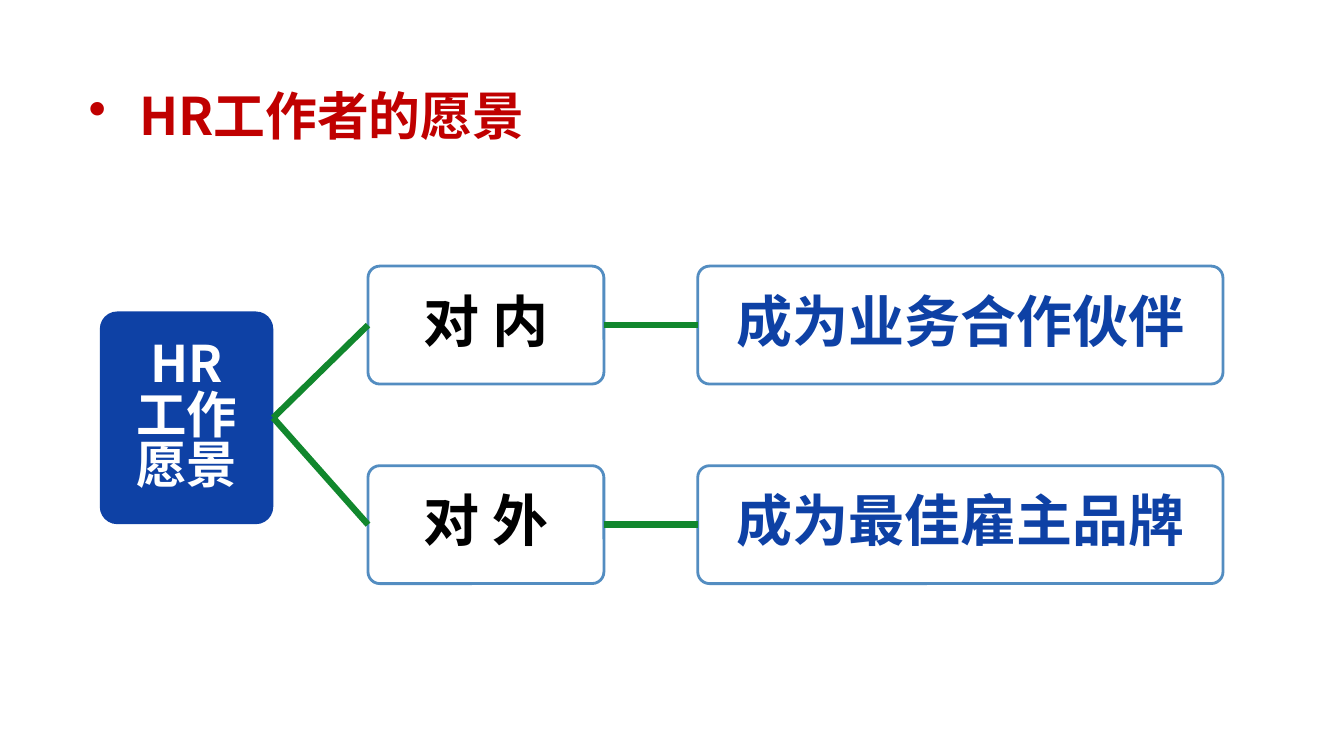
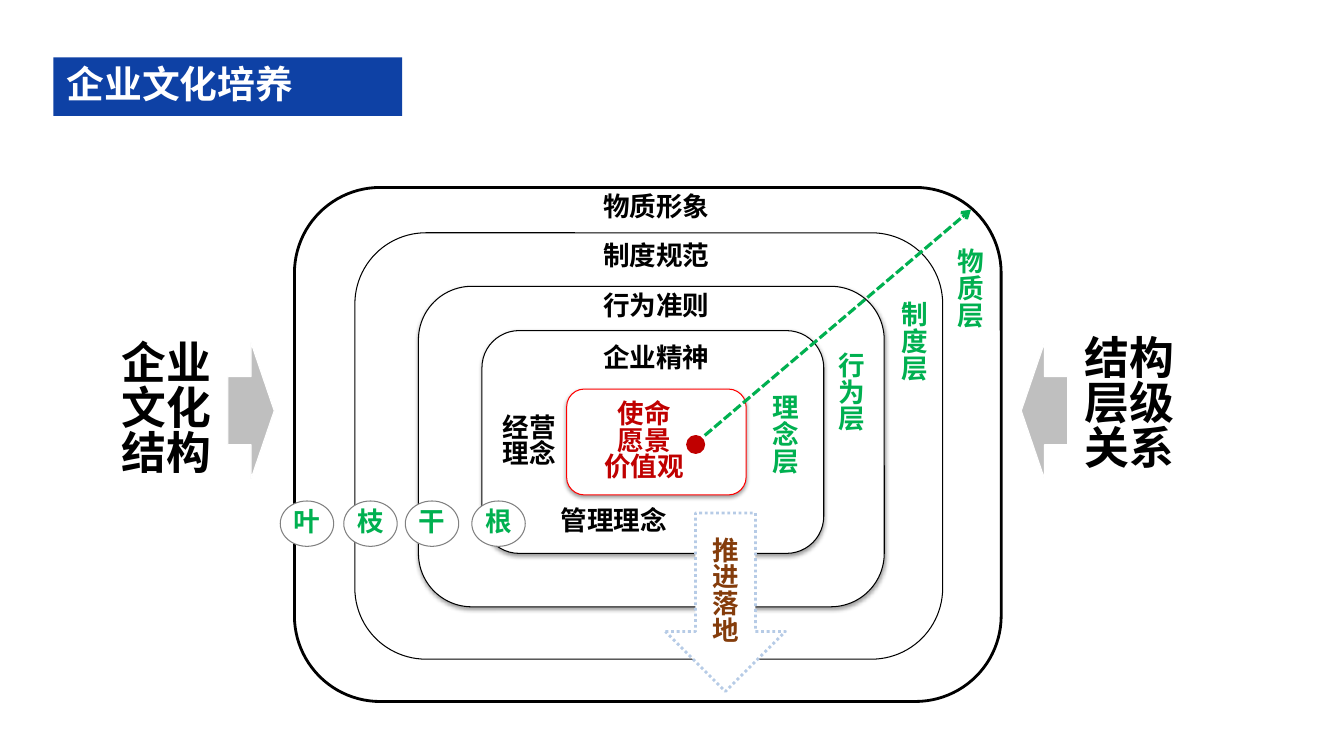
from dataclasses import dataclass

from lxml.etree import SubElement
from pptx import Presentation
from pptx.dml.color import RGBColor
from pptx.enum.dml import MSO_LINE
from pptx.enum.shapes import MSO_CONNECTOR, MSO_SHAPE
from pptx.enum.text import MSO_ANCHOR, PP_ALIGN
from pptx.oxml.ns import qn
from pptx.util import Inches, Pt

LEFT, RIGHT = 1, 3


@dataclass(frozen=True)
class Theme:
    font: str = "Noto Sans CJK SC"
    spacing: float = 0.84
    white: str = "FFFFFF"
    black: str = "000000"
    blue: str = "0E41A5"
    outline: str = "538DC1"
    branch: str = "11872D"
    green: str = "00B050"
    red: str = "C00000"
    bright_red: str = "FF0000"
    brown: str = "843C0B"
    pale_blue: str = "B6CBE6"
    grey: str = "808080"
    light_grey: str = "BFBFBF"
    title: int = 37
    band: int = 27
    node: int = 40
    root: int = 36
    side: int = 32
    label: int = 19


class Painter:
    def __init__(self, deck, theme):
        self.deck = deck
        self.theme = theme
        self.page = None

    def new_page(self):
        self.page = self.deck.slides.add_slide(self.deck.slide_layouts[6])

    def set_text(self, box, text, size, color, align=PP_ALIGN.CENTER,
                 insets=(0.1, 0.05, 0.1, 0.05), bullet=None):
        frame = box.text_frame
        left, top, right, bottom = map(Inches, insets)
        settings = {
            "word_wrap": True, "vertical_anchor": MSO_ANCHOR.MIDDLE,
            "margin_left": left, "margin_top": top,
            "margin_right": right, "margin_bottom": bottom,
        }
        for name, value in settings.items():
            setattr(frame, name, value)
        style = {"size": Pt(size), "bold": True, "name": self.theme.font}
        for index, line in enumerate(text.split("\n")):
            para = frame.add_paragraph() if index else frame.paragraphs[0]
            para.alignment = align
            para.line_spacing = self.theme.spacing
            if bullet:
                properties = para._p.get_or_add_pPr()
                properties.set("marL", str(Inches(0.5)))
                properties.set("indent", str(Inches(-0.5)))
                SubElement(properties, qn("a:buChar"), char=bullet)
            span = para.add_run()
            span.text = line
            for name, value in style.items():
                setattr(span.font, name, value)
            span.font.color.rgb = RGBColor.from_string(color)
            SubElement(span._r.get_or_add_rPr(), qn("a:ea"),
                       typeface=self.theme.font)

    def text(self, place, text, size, color, **options):
        box = self.page.shapes.add_textbox(*map(Inches, place))
        self.set_text(box, text, size, color, **options)

    def shape(self, kind, place, fill, line=None, width=0.75,
              dash=None, corner=None, shadow=False):
        box = self.page.shapes.add_shape(kind, *map(Inches, place))
        box.shadow.inherit = False
        box.fill.solid()
        box.fill.fore_color.rgb = RGBColor.from_string(fill)
        if line:
            self.stroke(box.line, line, width, dash)
        else:
            box.line.fill.background()
        if corner is not None:
            box.adjustments[0] = corner
        if shadow:
            effects = box._element.spPr.find(qn("a:effectLst"))
            outer = SubElement(effects, qn("a:outerShdw"),
                               blurRad=str(Pt(3.1)), dist=str(Pt(1.6)),
                               dir="5400000", rotWithShape="0")
            color = SubElement(outer, qn("a:srgbClr"), val=self.theme.black)
            SubElement(color, qn("a:alpha"), val="38000")
        return box

    def stroke(self, line, color, width, dash=None):
        line.color.rgb = RGBColor.from_string(color)
        line.width = Pt(width)
        if dash:
            line.dash_style = dash

    def line(self, start, end, color, width, dash=None, arrow=False):
        connector = self.page.shapes.add_connector(
            MSO_CONNECTOR.STRAIGHT, *map(Inches, (*start, *end)))
        self.stroke(connector.line, color, width, dash)
        properties = connector._element.spPr
        if arrow:
            SubElement(properties.find(qn("a:ln")), qn("a:tailEnd"),
                       type="arrow")
        SubElement(properties, qn("a:effectLst"))
        return connector

    def join(self, source, target):
        connector = self.line((0, 0), (1, 1), self.theme.branch, 4.5)
        connector.begin_connect(source, RIGHT)
        connector.end_connect(target, LEFT)

    def node(self, place, text, size, color, fill, line=None):
        box = self.shape(MSO_SHAPE.ROUNDED_RECTANGLE, place, fill, line, 2,
                         corner=0.1)
        self.set_text(box, text, size, color, insets=(0.2, 0.05, 0.2, 0.05))
        return box


def vision_page(painter):
    theme = painter.theme
    painter.new_page()
    painter.text((0.75, 0.81, 7.59, 0.76), "HR工作者的愿景", theme.title,
                 theme.red, align=PP_ALIGN.LEFT,
                 insets=(0.13, 0.07, 0.13, 0.07), bullet="•")
    root = painter.node((0.99, 3.09, 1.72, 2.11), "HR\n工作愿景",
                        theme.root, theme.white, theme.blue)
    rows = ((2.64, "对 内", "成为业务合作伙伴"),
            (4.62, "对 外", "成为最佳雇主品牌"))
    for top, direction, goal in rows:
        near = painter.node((3.65, top, 2.34, 1.17), direction, theme.node,
                            theme.black, theme.white, theme.outline)
        far = painter.node((6.92, top, 5.21, 1.17), goal, theme.node,
                           theme.blue, theme.white, theme.outline)
        painter.join(root, near)
        painter.join(near, far)


def culture_page(painter):
    theme = painter.theme
    painter.new_page()
    band = painter.shape(MSO_SHAPE.RECTANGLE, (0.53, 0.57, 3.46, 0.58),
                         theme.blue)
    painter.set_text(band, "企业文化培养", theme.band, theme.white,
                     align=PP_ALIGN.LEFT, insets=(0.13, 0.07, 0.13, 0.07))

    sides = (
        ((1, 3.2, 1.3, 1.75), "企业\n文化\n结构", MSO_SHAPE.RIGHT_ARROW, 2.26),
        ((10.55, 3.15, 1.3, 1.75), "结构层级\n关系", MSO_SHAPE.LEFT_ARROW, 10.13),
    )
    for place, text, kind, left in sides:
        painter.text(place, text, theme.side, theme.black,
                     insets=(0.13, 0.07, 0.13, 0.07))
        painter.shape(kind, (left, 3.4, 0.46, 1.35), theme.light_grey,
                      theme.white)

    rings = (
        ((2.92, 1.86, 7.01, 5.1), 2, False),
        ((3.52, 2.31, 5.83, 4.23), 0.75, False),
        ((4.15, 2.84, 4.62, 3.18), 0.75, True),
        ((4.78, 3.28, 3.39, 2.21), 0.75, True),
    )
    for place, width, shadow in rings:
        painter.shape(MSO_SHAPE.ROUNDED_RECTANGLE, place, theme.white,
                      theme.black, width, shadow=shadow)
    core = painter.shape(MSO_SHAPE.ROUNDED_RECTANGLE,
                         (5.62, 3.86, 1.78, 1.05), theme.white,
                         theme.bright_red, shadow=True)
    painter.set_text(core, "使命\n愿景\n价值观", theme.label, theme.red,
                     insets=(0, 0, 0.24, 0))

    labels = (
        ((5.83, 1.86, 1.36, 0.42), "物质形象"),
        ((5.83, 2.34, 1.36, 0.42), "制度规范"),
        ((5.83, 2.84, 1.36, 0.42), "行为准则"),
        ((5.83, 3.36, 1.36, 0.42), "企业精神"),
        ((4.78, 4.01, 0.94, 0.76), "经营\n理念"),
        ((5.41, 4.97, 1.36, 0.42), "管理理念"),
    )
    for place, text in labels:
        painter.text(place, text, theme.label, theme.black)

    painter.line((6.99, 4.32), (9.63, 2.08), theme.green, 2.25,
                 MSO_LINE.SQUARE_DOT, arrow=True)
    painter.shape(MSO_SHAPE.OVAL, (6.82, 4.33, 0.16, 0.16), theme.red,
                  theme.red, 2)
    layers = ((7.51, 3.79, "理念层"), (8.17, 3.37, "行为层"),
              (8.79, 2.87, "制度层"), (9.35, 2.34, "物质层"))
    for left, top, text in layers:
        painter.text((left, top, 0.56, 1.08), text, theme.label, theme.green)

    for left, text in ((2.78, "叶"), (3.41, "枝"), (4.02, "干"), (4.68, "根")):
        badge = painter.shape(MSO_SHAPE.OVAL, (left, 4.97, 0.53, 0.45),
                              theme.white, theme.grey)
        painter.set_text(badge, text, theme.label, theme.green,
                         insets=(0, 0, 0, 0))
    rollout = painter.shape(MSO_SHAPE.DOWN_ARROW, (6.6, 5.09, 1.19, 1.77),
                            theme.white, theme.pale_blue, 2,
                            MSO_LINE.ROUND_DOT)
    painter.set_text(rollout, "推进落地", theme.label, theme.brown,
                     insets=(0.1, 0.1, 0.1, 0))


def main():
    deck = Presentation()
    deck.slide_width = Inches(13.33)
    deck.slide_height = Inches(7.5)
    painter = Painter(deck, Theme())
    vision_page(painter)
    culture_page(painter)
    deck.save("out.pptx")


if __name__ == "__main__":
    main()
